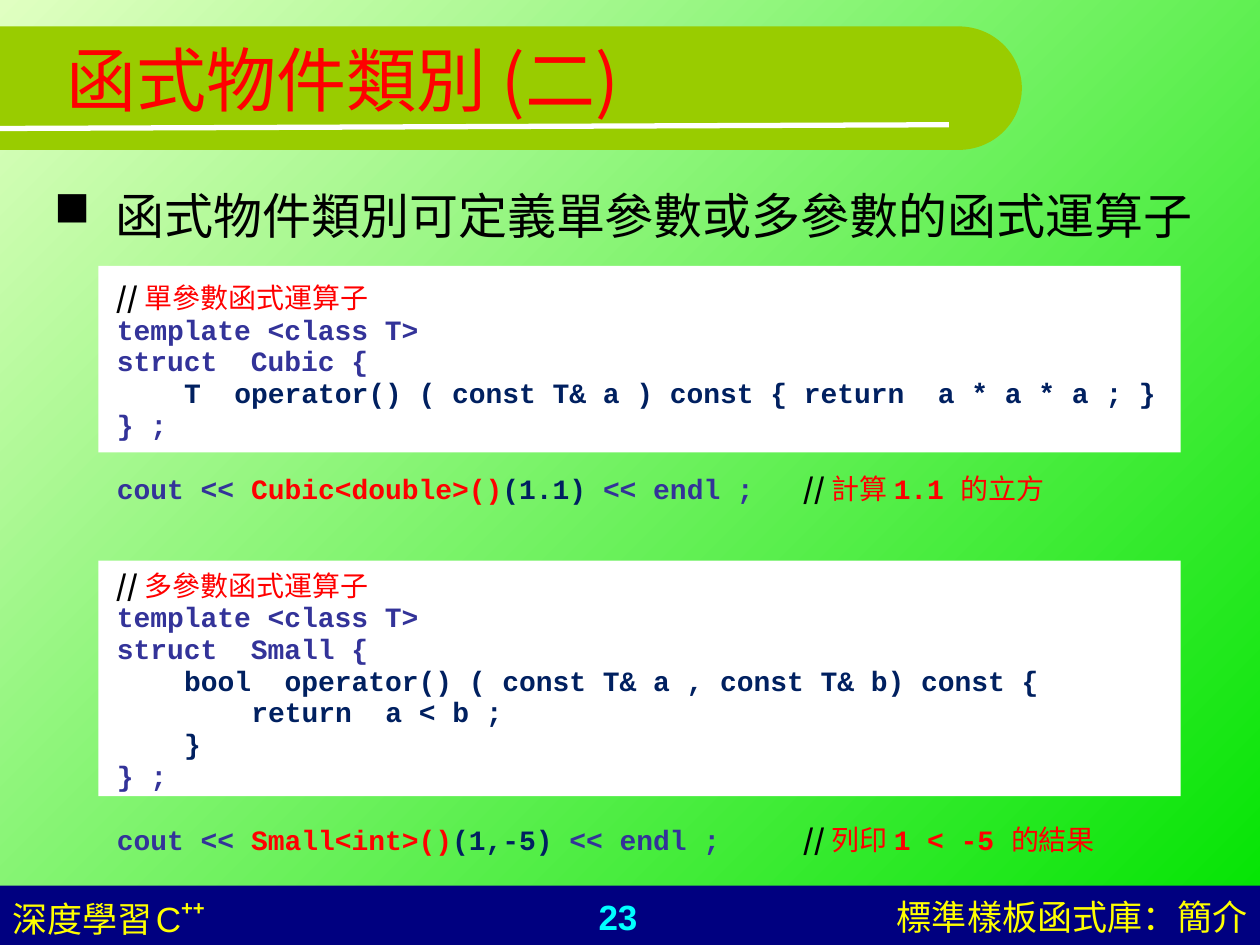
from math import cos, pi, sin

from lxml.etree import SubElement
from pptx import Presentation
from pptx.dml.color import RGBColor as Color
from pptx.enum.shapes import MSO_CONNECTOR as Connector, MSO_SHAPE as Shape
from pptx.enum.text import MSO_ANCHOR as Anchor, PP_ALIGN as Align
from pptx.oxml.ns import qn
from pptx.util import Inches, Pt

COLORS = {
    "pale": "E0FFC1", "green": "00E400", "olive": "99CC00", "navy": "000080",
    "white": "FFFFFF", "black": "000000", "red": "FF0000", "yellow": "FFFF00",
    "cyan": "00FFFF", "indigo": "333399", "deep": "002060",
}
SANS, MONO = "Arial", "Courier New"
CJK_SC, CJK_TC = "Noto Sans CJK SC", "Noto Sans CJK TC"
COLUMNS, ROWS = 100, 75
CODE_SIZE = 16
CODE_INDENT = Pt(CODE_SIZE * 0.6 * 4)


def color(name):
    return Color.from_string(COLORS[name])


def add_span(para, text, size=CODE_SIZE, tint="indigo", font=MONO, bold=False, raised=0):
    span = para.add_run()
    span.text = text
    span.font.size = Pt(size)
    span.font.bold = bold
    span.font.color.rgb = color(tint)
    span.font.name = font
    props = span.font._element
    SubElement(props, qn("a:ea"), typeface=CJK_SC if font == CJK_SC else CJK_TC)
    if raised:
        props.set("baseline", str(raised * 1000))


class SlideBuilder:
    def __init__(self, deck):
        self.column = deck.slide_width / COLUMNS
        self.row = deck.slide_height / ROWS
        self.page = deck.slides.add_slide(deck.slide_layouts[6])

    def place(self, left, top, width, height):
        return (round(left * self.column), round(top * self.row),
                round(width * self.column), round(height * self.row))

    def background(self, first, last, angle):
        fill = self.page.background.fill
        fill.gradient()
        fill.gradient_angle = angle
        for stop, name, position in zip(fill.gradient_stops, (first, last), (0, 1)):
            stop.color.rgb = color(name)
            stop.position = position

    def paint(self, shape, name):
        shape.shadow.inherit = False
        shape.fill.solid()
        shape.fill.fore_color.rgb = color(name)
        shape.line.fill.background()

    def panel(self, area, name):
        self.paint(self.page.shapes.add_shape(Shape.RECTANGLE, *self.place(*area)), name)

    def banner(self, top, bottom, straight, radius, name):
        middle, half = (top + bottom) / 2, (bottom - top) / 2
        arc = [(straight + radius * sin(pi * step / 60), middle - half * cos(pi * step / 60))
               for step in range(61)]
        points = [(round(x * self.column), round(y * self.row))
                  for x, y in arc + [(0, bottom)]]
        outline = self.page.shapes.build_freeform(0, round(top * self.row))
        outline.add_line_segments(points, close=True)
        self.paint(outline.convert_to_shape(), name)

    def rule(self, start, end, name, width):
        ends = self.place(*start, *end)
        line = self.page.shapes.add_connector(Connector.STRAIGHT, *ends)
        line.line.color.rgb = color(name)
        line.line.width = Pt(width)
        SubElement(line._element.spPr, qn("a:effectLst"))

    def text(self, area, spans=(), align=Align.LEFT, anchor=Anchor.TOP):
        box = self.page.shapes.add_textbox(*self.place(*area))
        box.text_frame.word_wrap = True
        box.text_frame.vertical_anchor = anchor
        para = box.text_frame.paragraphs[0]
        para.alignment = align
        for words, style in spans:
            add_span(para, words, **style)
        return box.text_frame

    def bullet(self, area, words, style):
        para = self.text(area, [(words, style)]).paragraphs[0]
        para.space_before = Pt(7)
        props = para._p.get_or_add_pPr()
        props.set("marL", str(Inches(0.49)))
        props.set("indent", str(-Inches(0.49)))
        tint = SubElement(props, qn("a:buClr"))
        SubElement(tint, qn("a:srgbClr"), val=COLORS["black"])
        SubElement(props, qn("a:buChar"), char="■")

    def code(self, area, heading, lines, usage):
        frame = self.text(area, [("// ", SLASHES), (heading, REMARK)])
        for depth, words, style in lines:
            para = frame.add_paragraph()
            para.line_spacing = 0.95
            para._p.get_or_add_pPr().set("marL", str(depth * CODE_INDENT))
            add_span(para, words, **style)
        para = frame.add_paragraph()
        para.line_spacing = 0.95
        para.space_before = Pt(18)
        stops = SubElement(para._p.get_or_add_pPr(), qn("a:tabLst"))
        SubElement(stops, qn("a:tab"), pos=str(Inches(5.45)), algn="l")
        call, arguments, verb, value, noun = usage
        for words, style in [
            ("cout << ", CODE), (call, CALL), (arguments, INNER), ("<< endl ;\t", CODE),
            ("// ", SLASHES), (verb, REMARK), (value, CALL), (noun, REMARK),
        ]:
            add_span(para, words, **style)


CODE = dict(bold=True)
INNER = dict(bold=True, tint="deep")
CALL = dict(bold=True, tint="red")
REMARK = dict(tint="red")
SLASHES = dict(bold=True, tint="black", font=CJK_SC)
TITLE = dict(size=40, tint="red")
FOOTER = dict(size=20, tint="yellow", font=SANS)


def main():
    deck = Presentation()
    deck.slide_width, deck.slide_height = Inches(10), Inches(7.5)
    slide = SlideBuilder(deck)

    slide.background("pale", "green", 315)
    slide.panel((0, 70.3, 100, 4.7), "navy")
    slide.banner(2.1, 11.9, 76.1, 5, "olive")
    slide.rule((0, 10.2), (75.3, 9.9), "white", 3)
    slide.panel((7.8, 44.5, 85.9, 18.7), "white")
    slide.panel((7.8, 21.1, 85.9, 14.8), "white")

    slide.text((37.4, 70.6, 23.3, 4.4),
               [("23", FOOTER | dict(tint="cyan", bold=True))], align=Align.CENTER)
    slide.text((61.8, 70.6, 38.2, 4.4),
               [("標準樣板函式庫", FOOTER), ("：", FOOTER | dict(font=CJK_TC)), ("簡介", FOOTER)],
               align=Align.RIGHT)
    slide.text((0, 70.6, 23.3, 4.4),
               [("深度學習", FOOTER), (" ", FOOTER | dict(size=8)), ("C", FOOTER),
                ("++", FOOTER | dict(bold=True, raised=46))])

    slide.bullet((3.3, 14.2, 95.4, 6.4), "函式物件類別可定義單參數或多參數的函式運算子",
                 dict(size=28, tint="black"))
    slide.text((4.3, 0, 90, 12.5),
               [("函式物件類別 ", TITLE | dict(font=SANS)), ("(二)", TITLE | dict(font=CJK_SC))],
               anchor=Anchor.MIDDLE)

    slide.code(
        (8.3, 21.8, 90.2, 18.9), "單參數函式運算子",
        [(0, "template <class T>", CODE),
         (0, "struct  Cubic {", CODE),
         (1, "T  operator() ( const T& a ) const { return  a * a * a ; }", INNER),
         (0, "} ;", CODE)],
        ("Cubic<double>()", "(1.1) ", "計算 ", "1.1 ", "的立方"))
    slide.code(
        (8.3, 44.6, 90.2, 30.4), "多參數函式運算子",
        [(0, "template <class T>", CODE),
         (0, "struct  Small {", CODE),
         (1, "bool  operator() ( const T& a , const T& b) const {", INNER),
         (2, "return  a < b ;", INNER),
         (1, "}", INNER),
         (0, "} ;", CODE)],
        ("Small<int>()", "(1,-5) ", "列印 ", "1 < -5 ", "的結果"))

    deck.save("out.pptx")


if __name__ == "__main__":
    main()
